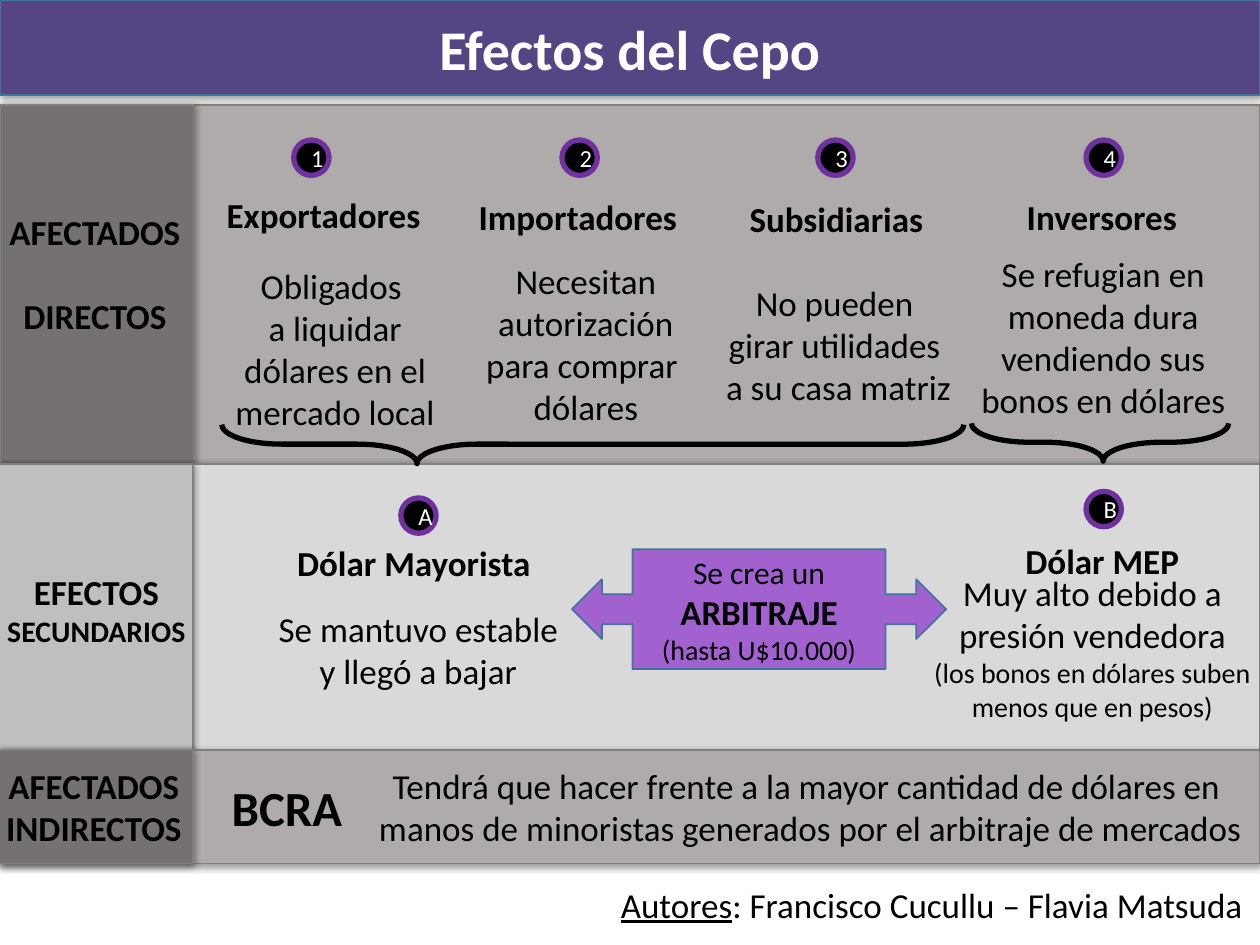
import pptx
import pptx.util
import pptx.dml.color
import pptx.enum.shapes
import pptx.enum.text
import pptx.oxml
import pptx.oxml.ns

Pt = pptx.util.Pt
Kind = pptx.enum.shapes.MSO_SHAPE
Align = pptx.enum.text.PP_ALIGN
Fit = pptx.enum.text.MSO_AUTO_SIZE
Mid = pptx.enum.text.MSO_ANCHOR.MIDDLE

HUES = {
    "title": "564585", "edge": "43739E", "rim": "808080",
    "warm": "AFABAB", "dark": "767171", "pale": "D9D9D9", "gray": "BFBFBF",
    "ring": "7030A0", "call": "A162D0", "black": "000000", "white": "FFFFFF",
}
BOLD = {"bold": True}
SHADE = (
    '<a:effectLst %s><a:outerShdw blurRad="50800" dist="12700" dir="4680000" '
    'algn="tl" rotWithShape="0"><a:srgbClr val="%s"><a:alpha val="40000"/>'
    '</a:srgbClr></a:outerShdw></a:effectLst>'
)


def tint(name):
    return pptx.dml.color.RGBColor.from_string(HUES[name])


class Board:
    face = "Calibri"
    size = 20

    def __init__(self, slide):
        self.slide = slide

    def place(self, item, box):
        for key, val in zip(("left", "top", "width", "height"), box):
            setattr(item, key, Pt(val))

    def fill_text(self, frame, lines, hue="black", align=Align.CENTER, gap=0, **base):
        for num, line in enumerate(lines):
            para = frame.add_paragraph() if num else frame.paragraphs[0]
            para.alignment = align
            if num and gap:
                para.space_before = Pt(gap)
            for text, more in [(line, {})] if isinstance(line, str) else line:
                run = para.add_run()
                run.text = text
                form = {"name": self.face, "size": self.size, **base, **more}
                form["size"] = Pt(form["size"])
                for key, val in form.items():
                    setattr(run.font, key, val)
                run.font.color.rgb = tint(hue)

    def shape(self, kind, box, fill=None, line="edge", width=1, adjust=(), turn=0, shade=False):
        item = self.slide.shapes.add_shape(kind, *map(Pt, box))
        item.shadow.inherit = False
        item.rotation = turn
        if fill:
            item.fill.solid()
            item.fill.fore_color.rgb = tint(fill)
        else:
            item.fill.background()
        item.line.color.rgb = tint(line)
        item.line.width = Pt(width)
        for num, val in enumerate(adjust):
            item.adjustments[num] = val
        if shade:
            old = item.element.spPr.find(pptx.oxml.ns.qn("a:effectLst"))
            new = pptx.oxml.parse_xml(SHADE % (pptx.oxml.ns.nsdecls("a"), HUES["black"]))
            item.element.spPr.replace(old, new)
        return item

    def band(self, box, fill, line="rim"):
        return self.shape(Kind.RECTANGLE, box, fill, line, shade=True)

    def title(self, text, bar, box):
        item = self.slide.shapes.title
        self.band(bar, "title", "edge").element.addnext(item.element)
        self.place(item, box)
        frame = item.text_frame
        for key, val in {"word_wrap": False, "auto_size": Fit.SHAPE_TO_FIT_TEXT,
                         "vertical_anchor": Mid}.items():
            setattr(frame, key, val)
        self.fill_text(frame, [text], "white", size=32, bold=True)

    def text(self, left, top, width, lines, high=None, **form):
        high = high or 24.2 * len(lines) + 7.4
        frame = self.slide.shapes.add_textbox(*map(Pt, (left, top, width, high))).text_frame
        frame.word_wrap = False
        frame.auto_size = Fit.SHAPE_TO_FIT_TEXT
        self.fill_text(frame, lines, **form)

    def head(self, left, top, width, text, **form):
        self.text(left, top, width, [text], align=Align.LEFT, bold=True, **form)

    def disc(self, left, top, mark):
        item = self.shape(Kind.OVAL, (left, top, 20.2, 20.2), "black", "ring", 3)
        item.text_frame.vertical_anchor = Mid
        self.fill_text(item.text_frame, [mark], "white", size=14)

    def brace(self, box, point):
        self.shape(Kind.RIGHT_BRACE, box, line="black", width=3, adjust=(1.534, point), turn=90)

    def call(self, box, adjust, lines):
        item = self.shape(Kind.LEFT_RIGHT_ARROW_CALLOUT, box, "call", adjust=adjust)
        item.text_frame.vertical_anchor = Mid
        self.fill_text(item.text_frame, lines)


def main():
    deck = pptx.Presentation()
    deck.slide_width, deck.slide_height = Pt(720), Pt(540)
    board = Board(deck.slides.add_slide(deck.slide_layouts[5]))
    board.title("Efectos del Cepo", (0, 0, 720, 54.5), (242.6, 4.3, 234.7, 46))

    for top, high, wide, side, left in (
        (60, 205, "warm", "dark", 0),
        (265, 167, "pale", "gray", -0.7),
        (428.5, 65, "warm", "dark", -0.7),
    ):
        board.band((0, top, 720, high), wide)
        board.band((left, top, 111, high), side)

    board.text(-2.2, 116.6, 113, ["AFECTADOS", "DIRECTOS"], high=80, gap=24, bold=True)
    board.text(-3.6, 322.6, 117.4, ["EFECTOS", [("SECUNDARIOS", {"size": 17})]],
               high=51.8, bold=True)
    board.text(-4.3, 433.4, 116, ["AFECTADOS", "INDIRECTOS"], bold=True)

    for left, top, mark in (
        (167.8, 80, "1"), (321.1, 80, "2"), (467.3, 80, "3"), (620.6, 80, "4"),
        (229, 284.5, "A"), (620.6, 280.8, "B"),
    ):
        board.disc(left, top, mark)

    for left, top, width, text in (
        (122.4, 107.3, 126, "Exportadores"),
        (266.4, 108, 128.9, "Importadores"),
        (421.2, 109.4, 114.5, "Subsidiarias"),
        (579.6, 108, 101.5, "Inversores"),
        (162.7, 306, 149, "Dólar Mayorista"),
        (578.9, 304.6, 103, "Dólar MEP"),
    ):
        board.head(left, top, width, text)

    for left, top, width, lines in (
        (126.7, 147.6, 129.6, ["Obligados ", "a liquidar", "dólares en el", "mercado local"]),
        (270, 144.9, 129.6, ["Necesitan", "autorización", "para comprar ", "dólares"]),
        (406.8, 157.2, 144.7, ["No pueden ", "girar utilidades ", "a su casa matriz"]),
        (553, 140.6, 154.8, ["Se refugian en", "moneda dura", "vendiendo sus", "bonos en dólares"]),
        (151.2, 343.4, 175.7, ["Se mantuvo estable", "y llegó a bajar"]),
        (202.3, 433.4, 517, ["Tendrá que hacer frente a la mayor cantidad de dólares en",
                             " manos de minoristas generados por el arbitraje de mercados"]),
    ):
        board.text(left, top, width, lines)

    small = {"size": 16}
    board.text(525.6, 323.3, 197.3, [
        "Muy alto debido a", "presión vendedora",
        [("(los bonos en dólares suben", small)], [("menos que en pesos)", small)],
    ], high=94.3)
    board.brace((327.6, 41.8, 22.3, 424), 0.737)
    board.brace((617.8, 179.3, 21.6, 146.9), 0.488)
    board.call((326.9, 313.9, 213.8, 68.4), (0.25, 0.25, 0.25, 0.676), [
        [("Se crea un", {"size": 18})], [("ARBITRAJE", BOLD)], [("(hasta U$10.000)", small)],
    ])
    board.head(125.3, 440.6, 78.5, "BCRA", size=28, high=41)
    board.text(345.6, 501.1, 373.7, [
        [("Autores", {"underline": True}), (": Francisco Cucullu – Flavia Matsuda", {})],
    ])
    deck.save("out.pptx")


if __name__ == "__main__":
    main()
